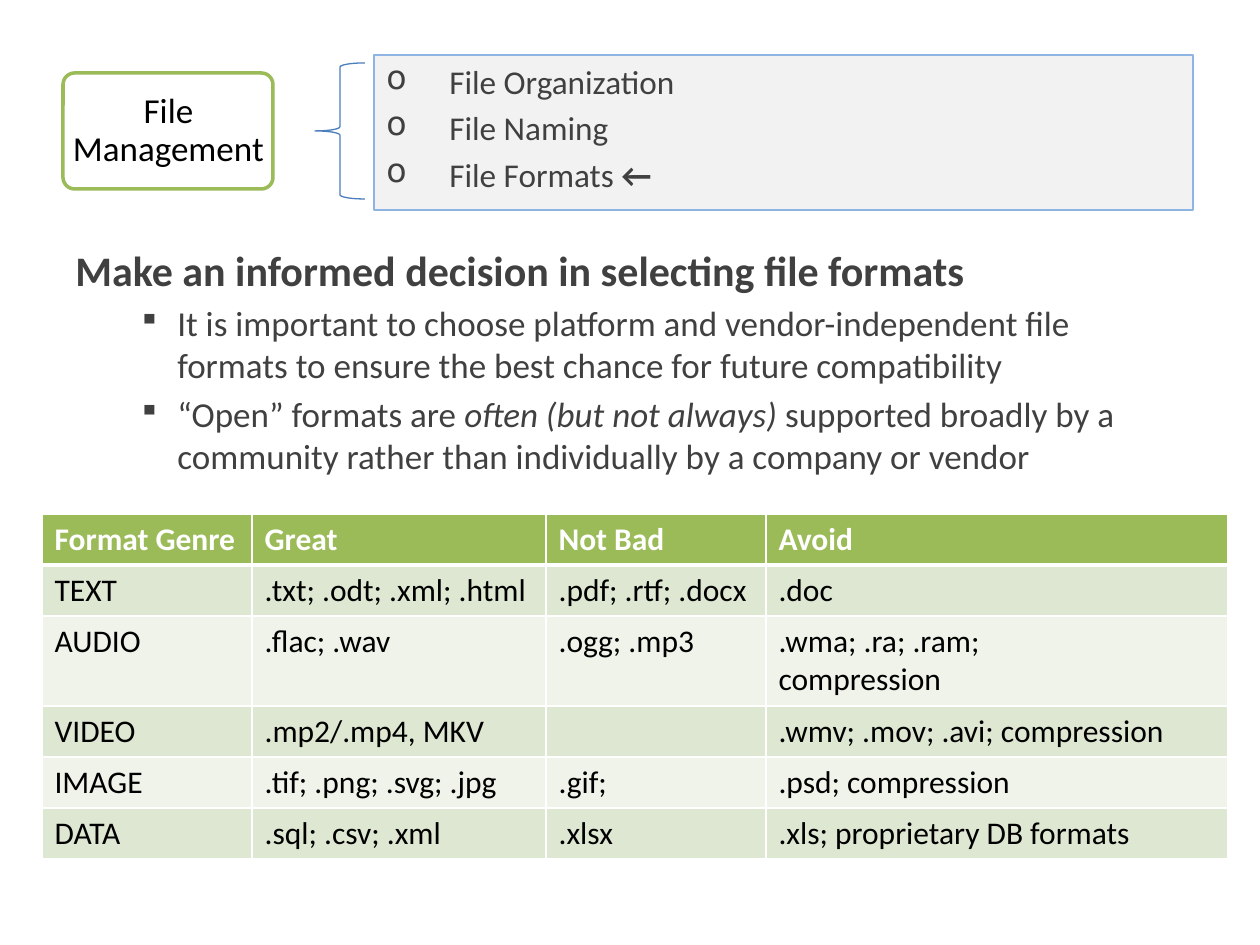
import pptx
import pptx.dml.color
import pptx.enum.shapes
import pptx.enum.text
import pptx.oxml
import pptx.oxml.ns
import pptx.util
from lxml import etree

SHAPE = pptx.enum.shapes.MSO_SHAPE
ALIGN = pptx.enum.text.PP_ALIGN
ANCHOR = pptx.enum.text.MSO_ANCHOR
PX_PER_INCH = 126

GREEN, GREY, BLACK, WHITE = "9BBB59", "404040", "000000", "FFFFFF"
BANDS = ["DEE7D1", "EFF3EA"]


def px(length):
    return pptx.util.Emu(round(length * 914400 / PX_PER_INCH))


def rgb(value):
    return pptx.dml.color.RGBColor.from_string(value)


def assign(target, values):
    for name, value in values.items():
        setattr(target, name, value)


def add_child(parent, tag, **attributes):
    child = etree.SubElement(parent, pptx.oxml.ns.qn(tag))
    for name, value in attributes.items():
        child.set(name, str(value))
    return child


class SlideBuilder:
    font = "Calibri"

    def __init__(self, page):
        self.page = page

    def fill_text(self, frame, paragraphs, size, color, bold=False, gap=0.2, **layout):
        """Fill a frame; each paragraph is a string or a dict of its runs and overrides.

        The gap before later paragraphs is a share of the text size.
        """
        frame.word_wrap = True
        for index, item in enumerate(paragraphs):
            item = item if isinstance(item, dict) else {"runs": [(item, {})]}
            para = frame.paragraphs[0] if index == 0 else frame.add_paragraph()
            if "bullet" in item:
                self.bullet(para, color, **item["bullet"])
            assign(para, layout)
            para_size = item.get("size", size)
            if index:
                para.space_before = pptx.util.Pt(para_size * gap)
            for text, style in item["runs"]:
                span = para.add_run()
                span.text = text
                span.font.color.rgb = rgb(color)
                assign(span.font, {"name": self.font, "size": pptx.util.Pt(para_size),
                                   "bold": bold, **style})

    def bullet(self, para, color, char, left, hanging, level=0, percent=100):
        para.level = level
        props = para._p.get_or_add_pPr()
        props.set("marL", str(px(left)))
        props.set("indent", str(-px(hanging)))
        add_child(add_child(props, "a:buClr"), "a:srgbClr", val=color)
        add_child(props, "a:buSzPct", val=percent * 1000)
        add_child(props, "a:buChar", char=char)

    def shape(self, kind, box, line, width, fill=None, adjust=None):
        shape = self.page.shapes.add_shape(kind, *map(px, box))
        shape.shadow.inherit = False
        shape.line.color.rgb = rgb(line)
        shape.line.width = pptx.util.Pt(width)
        if fill:
            shape.fill.solid()
            shape.fill.fore_color.rgb = rgb(fill)
        else:
            shape.fill.background()
        if adjust is not None:
            shape.adjustments[0] = adjust
        return shape

    def text(self, box, paragraphs, frame_format=None, **style):
        frame = self.page.shapes.add_textbox(*map(px, box)).text_frame
        assign(frame, frame_format or {})
        self.fill_text(frame, paragraphs, **style)

    def borders(self, cell, bottom):
        props = cell._tc.get_or_add_tcPr()
        for side in ("L", "R", "T", "B"):
            width = bottom if side == "B" else 1
            edge = add_child(props, f"a:ln{side}", w=pptx.util.Pt(width))
            add_child(add_child(edge, "a:solidFill"), "a:srgbClr", val=WHITE)

    def table(self, left, top, widths, heights, rows):
        box = map(px, (left, top, sum(widths), sum(heights)))
        table = self.page.shapes.add_table(len(rows), len(widths), *box).table
        for column, width in zip(table.columns, widths):
            column.width = px(width)
        for r, (height, values) in enumerate(zip(heights, rows)):
            table.rows[r].height = px(height)
            header = r == 0
            for c, value in enumerate(values):
                cell = table.cell(r, c)
                self.borders(cell, bottom=3 if header else 1)
                cell.fill.solid()
                cell.fill.fore_color.rgb = rgb(GREEN if header else BANDS[(r - 1) % 2])
                if value:
                    self.fill_text(cell.text_frame, value.split("\n"), 18,
                                   WHITE if header else BLACK, bold=header, gap=0)


def main():
    deck = pptx.Presentation()
    deck.slide_width, deck.slide_height = px(1260), px(945)
    builder = SlideBuilder(deck.slides.add_slide(deck.slide_layouts[6]))

    point = {"char": "▪", "left": 102, "hanging": 39, "level": 1, "percent": 85}
    builder.text((63, 238, 1134, 606), [
        {"runs": [("Make an informed decision in selecting file formats", {"bold": True})],
         "size": 24},
        {"runs": [("It is important to choose platform and vendor-independent file formats "
                   "to ensure the best chance for future compatibility", {})],
         "bullet": point},
        {"runs": [("“Open” formats are ", {}),
                  ("often (but not always) ", {"italic": True}),
                  ("supported broadly by a community rather than individually "
                   "by a company or vendor", {})],
         "bullet": point},
    ], size=20, color=GREY)

    builder.shape(SHAPE.LEFT_BRACE, (315, 63, 50, 136), "4B7EBC", 0.75)

    topics = builder.shape(SHAPE.RECTANGLE, (374, 55, 819, 155), "8EB4E3", 0.75, "F2F2F2")
    topics.text_frame.vertical_anchor = ANCHOR.TOP
    topic = {"char": "o", "left": 63, "hanging": 63}
    builder.fill_text(topics.text_frame, [
        {"runs": runs, "bullet": topic} for runs in (
            [("File Organization", {})],
            [("File Naming", {})],
            [("File Formats ", {}), ("←", {"bold": True})],
        )
    ], size=19, color=GREY, alignment=ALIGN.LEFT)

    builder.shape(SHAPE.ROUNDED_RECTANGLE, (63, 73, 210, 116), GREEN, 2, WHITE, adjust=0.1)
    margins = {f"margin_{side}": px(4) for side in ("left", "top", "right", "bottom")}
    builder.text((67, 77, 203, 108), ["File Management"],
                 {"vertical_anchor": ANCHOR.MIDDLE, **margins},
                 size=20, color=BLACK, alignment=ALIGN.CENTER, line_spacing=0.9)

    builder.table(42, 514, [210, 294, 220, 462], [51, 51, 90, 51, 51, 51], [
        ["Format Genre", "Great", "Not Bad", "Avoid"],
        ["TEXT", ".txt; .odt; .xml; .html", ".pdf; .rtf; .docx", ".doc"],
        ["AUDIO", ".flac; .wav", ".ogg; .mp3", ".wma; .ra; .ram;\ncompression"],
        ["VIDEO", ".mp2/.mp4, MKV", "", ".wmv; .mov; .avi; compression"],
        ["IMAGE", ".tif; .png; .svg; .jpg", ".gif;", ".psd; compression"],
        ["DATA", ".sql; .csv; .xml", ".xlsx", ".xls; proprietary DB formats"],
    ])

    deck.save("out.pptx")


if __name__ == "__main__":
    main()
